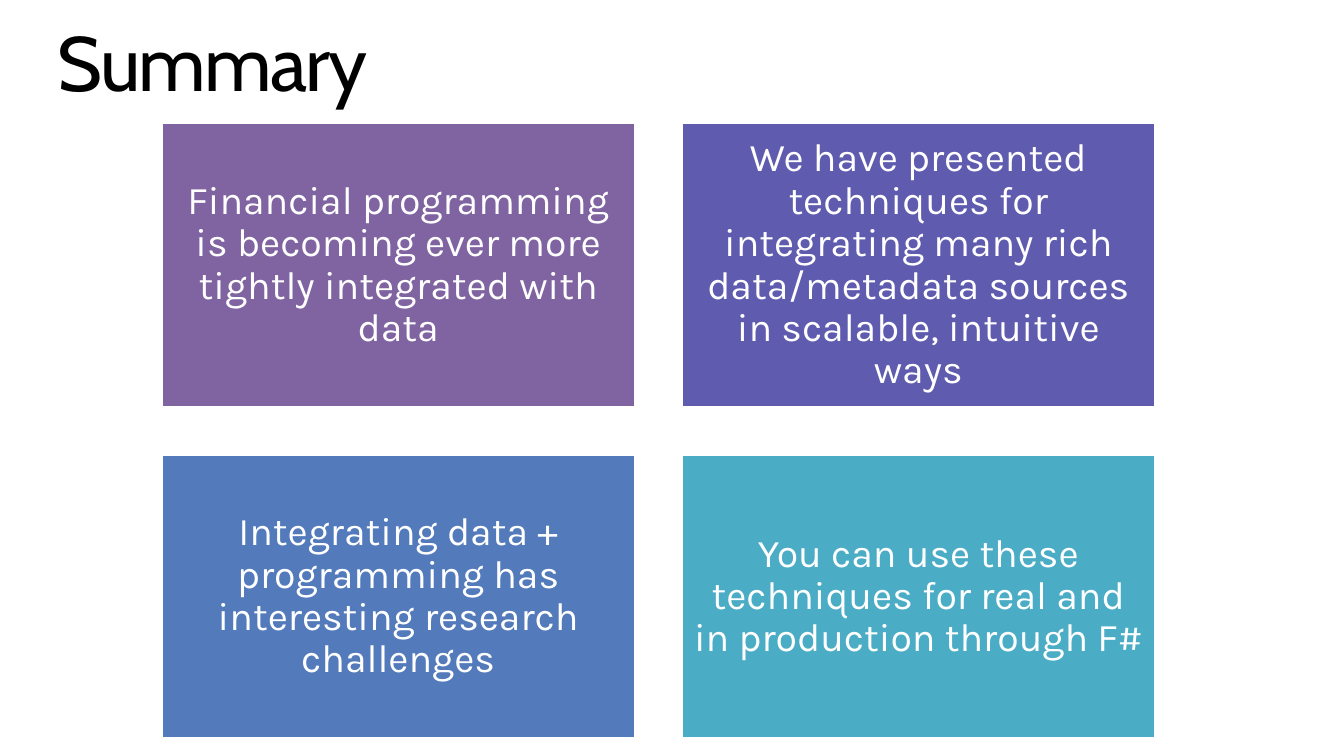
import pptx
import pptx.dml.color
import pptx.enum.shapes
import pptx.enum.text
import pptx.util

Pt = pptx.util.Pt
RGBColor = pptx.dml.color.RGBColor
Align = pptx.enum.text.PP_ALIGN
Anchor = pptx.enum.text.MSO_ANCHOR

BLACK = RGBColor(0x00, 0x00, 0x00)
WHITE = RGBColor(0xFF, 0xFF, 0xFF)
PURPLE = RGBColor(0x80, 0x64, 0xA2)
INDIGO = RGBColor(0x5F, 0x5B, 0xAE)
BLUE = RGBColor(0x53, 0x7A, 0xBA)
TEAL = RGBColor(0x4B, 0xAC, 0xC6)

# Card grid, in points
LEFT, TOP = 115.2, 87.84
WIDTH, HEIGHT = 338.4, 203.04
COLUMN_GAP, ROW_GAP = 33.12, 33.84

CARDS = [
    (PURPLE, "Financial programming is becoming ever more tightly integrated with data"),
    (INDIGO, "We have presented techniques for integrating many rich "
             "data/metadata sources in scalable, intuitive ways"),
    (BLUE, "Integrating data + programming has interesting research challenges"),
    (TEAL, "You can use these techniques for real and in production through F#"),
]


class SlideBuilder:
    """Holds the text style and the current slide."""

    title_font, title_size, title_spacing = "Cabin", 55, -1.2
    card_font, card_size = "Karla", 28
    line_spacing = 0.9

    def __init__(self, page):
        self.page = page

    def set_text(self, box, text, inset, font, size, color, align):
        frame = box.text_frame
        frame.word_wrap = True
        frame.margin_left = frame.margin_right = Pt(inset)
        frame.margin_top = frame.margin_bottom = Pt(inset)
        para = frame.paragraphs[0]
        para.alignment = align
        para.line_spacing = self.line_spacing
        span = para.add_run()
        span.text = text
        para.font.name = font
        para.font.size = Pt(size)
        para.font.color.rgb = color
        return span

    def title(self, text, left, top, width, height):
        box = self.page.shapes.add_textbox(Pt(left), Pt(top), Pt(width), Pt(height))
        span = self.set_text(box, text, 0, self.title_font, self.title_size,
                             BLACK, Align.LEFT)
        # Letter spacing is stored in hundredths of a point
        span.font._element.set("spc", str(round(self.title_spacing * 100)))

    def card(self, text, fill, left, top):
        box = self.page.shapes.add_shape(
            pptx.enum.shapes.MSO_SHAPE.RECTANGLE,
            Pt(left), Pt(top), Pt(WIDTH), Pt(HEIGHT))
        box.shadow.inherit = False
        box.fill.solid()
        box.fill.fore_color.rgb = fill
        box.line.color.rgb = WHITE
        box.line.width = Pt(2)
        box.text_frame.vertical_anchor = Anchor.MIDDLE
        self.set_text(box, text, 8.4, self.card_font, self.card_size,
                      WHITE, Align.CENTER)


def main():
    deck = pptx.Presentation()
    deck.slide_width, deck.slide_height = Pt(960), Pt(540)
    builder = SlideBuilder(deck.slides.add_slide(deck.slide_layouts[6]))

    # Heading
    builder.title("Summary", 41.04, 18, 877.68, 59.76)

    # Two rows of two cards
    for index, (fill, text) in enumerate(CARDS):
        row, column = divmod(index, 2)
        builder.card(text, fill,
                     LEFT + column * (WIDTH + COLUMN_GAP),
                     TOP + row * (HEIGHT + ROW_GAP))

    deck.save("out.pptx")


if __name__ == "__main__":
    main()
